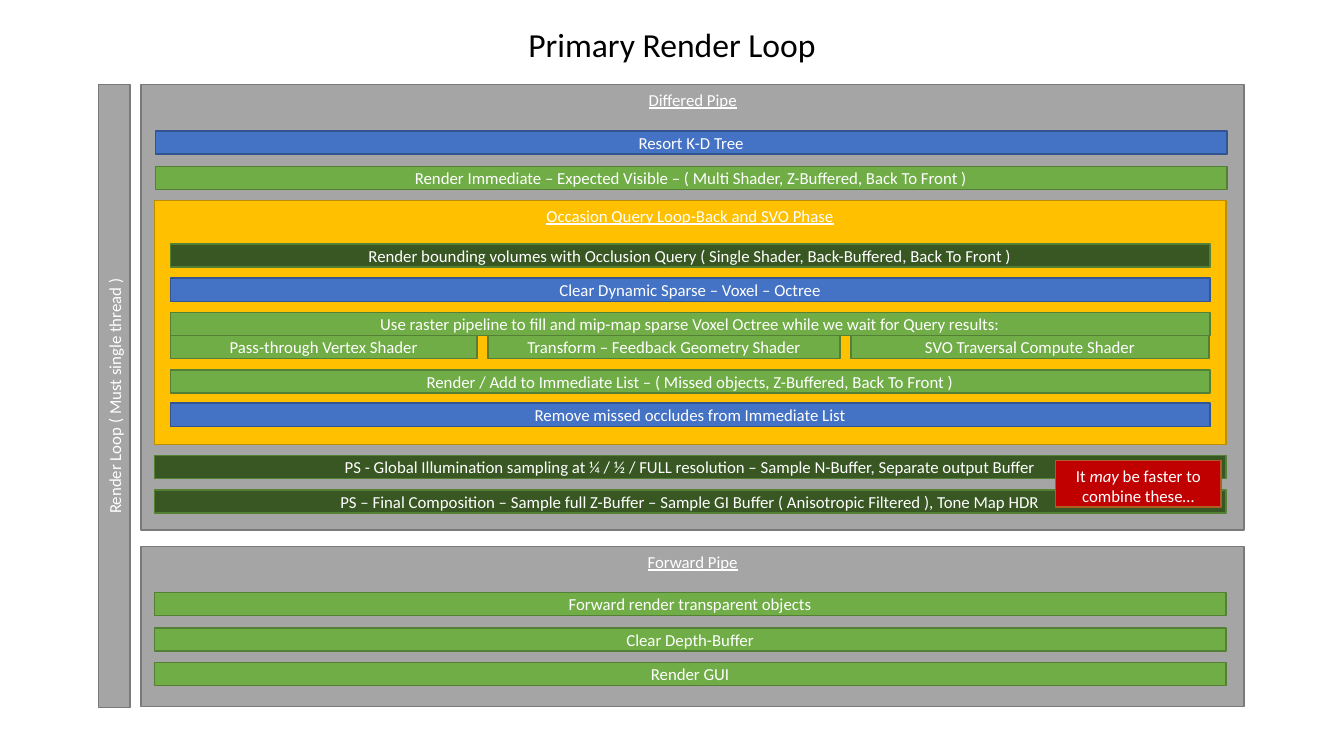
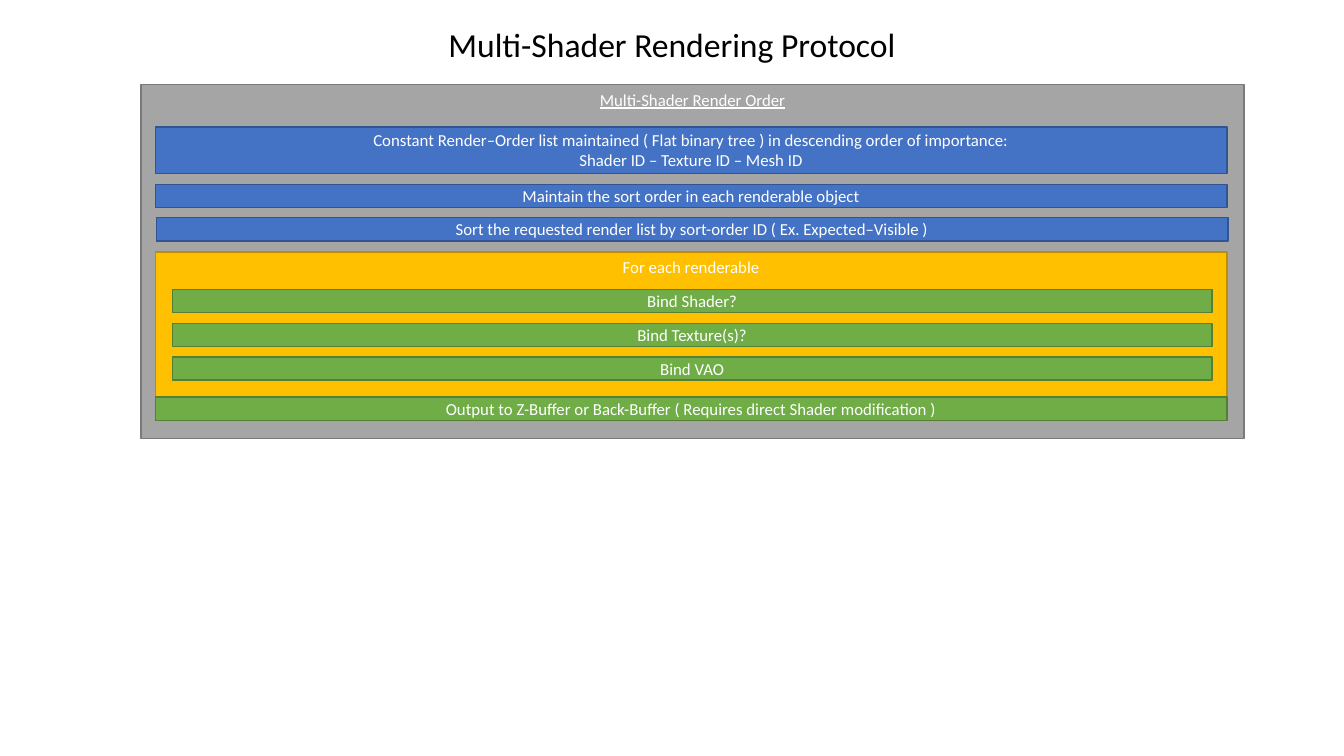
"""Builds two slides on a render loop and its shader protocol."""
from pptx import Presentation
from pptx.dml.color import RGBColor
from pptx.enum.shapes import MSO_SHAPE
from pptx.enum.text import MSO_ANCHOR, MSO_AUTO_SIZE, PP_ALIGN
from pptx.util import Inches, Pt

RECT = MSO_SHAPE.RECTANGLE
TOP, MIDDLE, BOTTOM = MSO_ANCHOR.TOP, MSO_ANCHOR.MIDDLE, MSO_ANCHOR.BOTTOM
CENTER = PP_ALIGN.CENTER
FONT = "Calibri"
BLACK = RGBColor(0x00, 0x00, 0x00)
WHITE = RGBColor(0xFF, 0xFF, 0xFF)
GREEN_LINE = RGBColor(0x53, 0x80, 0x35)
GRAY = (RGBColor(0xA5, 0xA5, 0xA5), RGBColor(0x7A, 0x7A, 0x7A))
GOLD = (RGBColor(0xFF, 0xC0, 0x00), RGBColor(0xBD, 0x8E, 0x00))
BLUE = (RGBColor(0x44, 0x72, 0xC4), RGBColor(0x32, 0x54, 0x91))
GREEN = (RGBColor(0x70, 0xAD, 0x47), GREEN_LINE)
DARK = (RGBColor(0x38, 0x57, 0x23), GREEN_LINE)
RED = (RGBColor(0xC0, 0x00, 0x00), RGBColor(0xAF, 0x5C, 0x24))

PANEL_X, PANEL_Y, PANEL_W = 1.4, 0.84, 10.94
BAR_W, INNER_W, BAR_H = 10.63, 10.31, 0.23

prs = Presentation()
prs.slide_width, prs.slide_height = Inches(13.33), Inches(7.5)


def add_titled_slide(title):
    s = prs.slides.add_slide(prs.slide_layouts[5])
    sp = s.shapes.title
    place = {"left": 0, "top": 0, "width": 13.33, "height": 0.67}
    for name, value in place.items():
        setattr(sp, name, Inches(value))
    tf = sp.text_frame
    tf.text = title
    frame = {"auto_size": MSO_AUTO_SIZE.NONE, "vertical_anchor": BOTTOM,
             "margin_bottom": Inches(0.03)}
    for name, value in frame.items():
        setattr(tf, name, value)
    p = tf.paragraphs[0]
    p.alignment = CENTER
    p.font.name, p.font.size = FONT, Pt(24)
    p.font.color.rgb = BLACK
    return s


def add_box(s, colors, x, y, w, h, text, anchor=MIDDLE, underline=None):
    sp = s.shapes.add_shape(RECT, Inches(x), Inches(y), Inches(w), Inches(h))
    sp.shadow.inherit = False
    sp.fill.solid()
    sp.fill.fore_color.rgb, sp.line.color.rgb = colors
    sp.line.width = Pt(1)
    tf = sp.text_frame
    tf.text = text
    tf.word_wrap = True
    tf.vertical_anchor = anchor
    if anchor == MIDDLE:
        tf.margin_top = tf.margin_bottom = 0
    font = {"name": FONT, "size": Pt(12), "underline": underline}
    for p in tf.paragraphs:
        p.alignment = CENTER
        for r in p.runs:
            for name, value in font.items():
                setattr(r.font, name, value)
            r.font.color.rgb = WHITE
    return sp


s = add_titled_slide("Primary Render Loop")
thread = add_box(s, GRAY, 0.98, PANEL_Y, 0.31, 6.18,
                 "Render Loop ( Must single thread )")
thread.text_frame._txBody.bodyPr.set("vert", "vert270")

panels = [
    (GRAY, PANEL_X, PANEL_Y, PANEL_W, 4.42, "Differed Pipe"),
    (GRAY, PANEL_X, 5.42, PANEL_W, 1.59, "Forward Pipe"),
    (GOLD, 1.53, 1.99, BAR_W, 2.42, "Occasion Query Loop-Back and SVO Phase"),
]
for panel in panels:
    add_box(s, *panel, anchor=TOP, underline=True)

bars = [
    (BLUE, 1.54, 1.3, "Resort K-D Tree"),
    (GREEN, 1.54, 1.65, "Render Immediate – Expected Visible – "
     "( Multi Shader, Z-Buffered, Back To Front )"),
    (DARK, 1.53, 4.52, "PS - Global Illumination sampling at ¼ / ½ / FULL "
     "resolution – Sample N-Buffer, Separate output Buffer"),
    (DARK, 1.53, 4.86, "PS – Final Composition – Sample full Z-Buffer – "
     "Sample GI Buffer ( Anisotropic Filtered ), Tone Map HDR"),
    (GREEN, 1.53, 5.88, "Forward render transparent objects"),
    (GREEN, 1.53, 6.23, "Clear Depth-Buffer"),
    (GREEN, 1.53, 6.57, "Render GUI"),
]
for colors, x, y, text in bars:
    add_box(s, colors, x, y, BAR_W, BAR_H, text)

query_steps = [
    (DARK, 2.42, "Render bounding volumes with Occlusion Query "
     "( Single Shader, Back-Buffered, Back To Front )"),
    (BLUE, 2.76, "Clear Dynamic Sparse – Voxel – Octree"),
    (GREEN, 3.1, "Use raster pipeline to fill and mip-map sparse Voxel Octree "
     "while we wait for Query results:"),
    (GREEN, 3.67, "Render / Add to Immediate List – "
     "( Missed objects, Z-Buffered, Back To Front )"),
    (BLUE, 4, "Remove missed occludes from Immediate List"),
]
for colors, y, text in query_steps:
    add_box(s, colors, 1.69, y, INNER_W, BAR_H, text)

shader_x = 1.69
for w, text in [(3.04, "Pass-through Vertex Shader"),
                (3.49, "Transform – Feedback Geometry Shader"),
                (3.55, "SVO Traversal Compute Shader")]:
    add_box(s, GREEN, shader_x, 3.33, w, BAR_H, text)
    shader_x += w + 0.11

note = add_box(s, RED, 10.47, 4.57, 1.64, 0.46, "It ", anchor=TOP)
p = note.text_frame.paragraphs[0]
for text, italic in [("may", True), (" be faster to combine these…", False)]:
    r = p.add_run()
    r.text = text
    font = {"name": FONT, "size": Pt(12), "italic": italic}
    for name, value in font.items():
        setattr(r.font, name, value)
    r.font.color.rgb = WHITE

s = add_titled_slide("Multi-Shader Rendering Protocol")
add_box(s, GRAY, PANEL_X, PANEL_Y, PANEL_W, 3.51, "Multi-Shader Render Order",
        anchor=TOP, underline=True)
add_box(s, GOLD, 1.54, 2.5, BAR_W, 1.44, "For each renderable", anchor=TOP)

order_steps = [
    (BLUE, 1.54, 1.26, 2 * BAR_H, "Constant Render–Order list maintained "
     "( Flat binary tree ) in descending order of importance:\n"
     "Shader ID – Texture ID – Mesh ID"),
    (BLUE, 1.54, 1.83, BAR_H,
     "Maintain the sort order in each renderable object"),
    (BLUE, 1.55, 2.16, BAR_H, "Sort the requested render list by "
     "sort-order ID ( Ex. Expected–Visible )"),
    (GREEN, 1.54, 3.94, BAR_H, "Output to Z-Buffer or Back-Buffer "
     "( Requires direct Shader modification )"),
]
for colors, x, y, h, text in order_steps:
    add_box(s, colors, x, y, BAR_W, h, text)

for y, text in [(2.87, "Bind Shader?"), (3.21, "Bind Texture(s)?"),
                (3.54, "Bind VAO")]:
    add_box(s, GREEN, 1.71, y, INNER_W, BAR_H, text)

prs.save("out.pptx")
